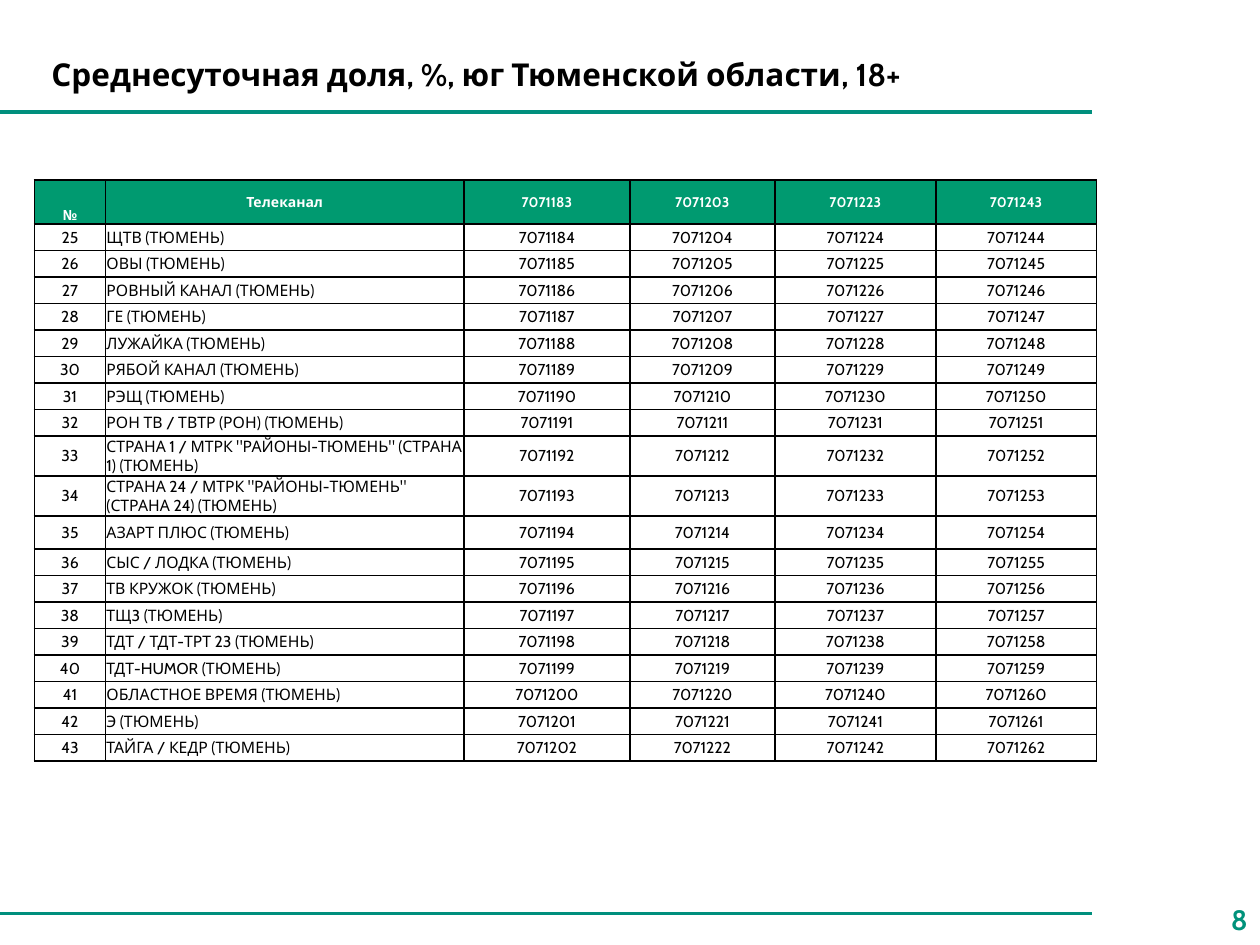
from dataclasses import dataclass

from lxml import etree
from pptx import Presentation
from pptx.dml.color import RGBColor
from pptx.enum import shapes, text
from pptx.oxml.ns import qn
from pptx.util import Emu, Pt

PX = 914400 / 252  # 252 px to the inch
LEFT, CENTER, RIGHT = text.PP_ALIGN.LEFT, text.PP_ALIGN.CENTER, text.PP_ALIGN.RIGHT
MIDDLE, BOTTOM = text.MSO_ANCHOR.MIDDLE, text.MSO_ANCHOR.BOTTOM


@dataclass(frozen=True)
class Theme:
    font: str = "Cabin"
    ink: str = "000000"
    paper: str = "FFFFFF"
    rule: str = "008F7D"
    page: str = "00927B"
    header: str = "009A70"
    title_size: int = 18
    page_size: int = 16
    header_size: int = 8
    body_size: int = 9
    rule_width: int = 2
    border_width: int = 1


T = Theme()

FIRST_NUMBER, FIRST_CODE, CODE_STEP, CODE_COLUMNS = 25, 7071183, 20, 4
CITY = "(ТЮМЕНЬ)"
CHANNELS = [
    "ЩТВ", "ОВЫ", "РОВНЫЙ КАНАЛ", "ГЕ", "ЛУЖАЙКА", "РЯБОЙ КАНАЛ", "РЭЩ",
    "РОН ТВ / ТВТР (РОН)",
    'СТРАНА 1 / МТРК "РАЙОНЫ-ТЮМЕНЬ" (СТРАНА 1)',
    'СТРАНА 24 / МТРК "РАЙОНЫ-ТЮМЕНЬ" (СТРАНА 24)',
    "АЗАРТ ПЛЮС", "СЫС / ЛОДКА", "ТВ КРУЖОК", "ТЩ3", "ТДТ / ТДТ-ТРТ 23",
    "ТДТ-HUMOR", "ОБЛАСТНОЕ ВРЕМЯ", "Э", "ТАЙГА / КЕДР",
]
COLUMN_WIDTHS = [142, 717, 332, 290, 322, 321]
HEADER_HEIGHT, ROW_HEIGHT = 88, 53
TALL_ROWS = {9: 80, 10: 80, 11: 66}


def px(n):
    return Emu(round(n * PX))


def write(tf, content, size, color=T.ink, bold=False, align=LEFT):
    p = tf.paragraphs[0]
    p.alignment = align
    r = p.add_run()
    r.text = content
    r.font.name = T.font
    r.font.size = Pt(size)
    r.font.bold = bold
    r.font.color.rgb = RGBColor.from_string(color)


def add_text(s, box, content, **style):
    tf = s.shapes.add_textbox(*map(px, box)).text_frame
    tf.word_wrap = True
    tf.vertical_anchor = MIDDLE
    write(tf, content, **style)


def add_rule(s, left, top, width):
    sp = s.shapes.add_connector(shapes.MSO_CONNECTOR.STRAIGHT,
                                px(left), px(top), px(left + width), px(top))
    sp.line.color.rgb = RGBColor.from_string(T.rule)
    sp.line.width = Pt(T.rule_width)
    etree.SubElement(sp._element.spPr, qn("a:effectLst"))


def set_borders(cell):
    props = cell._tc.get_or_add_tcPr()
    for i, side in enumerate(("a:lnL", "a:lnR", "a:lnT", "a:lnB")):
        line = etree.Element(qn(side), w=str(Pt(T.border_width)))
        fill = etree.SubElement(line, qn("a:solidFill"))
        etree.SubElement(fill, qn("a:srgbClr"), val=T.ink)
        props.insert(i, line)


def fill_cell(cell, content, fill=None, anchor=MIDDLE, **style):
    cell.margin_left = cell.margin_right = cell.margin_top = px(2)
    cell.margin_bottom = 0
    cell.vertical_anchor = anchor
    if fill:
        cell.fill.solid()
        cell.fill.fore_color.rgb = RGBColor.from_string(fill)
    else:
        cell.fill.background()
    set_borders(cell)
    write(cell.text_frame, content, **style)


def table_rows():
    """Codes run down each column, header included."""
    for i, name in enumerate(["Телеканал"] + [f"{c} {CITY}" for c in CHANNELS]):
        number = str(FIRST_NUMBER + i - 1) if i else "№"
        codes = [str(FIRST_CODE + i + CODE_STEP * c) for c in range(CODE_COLUMNS)]
        yield [number, name] + codes


def add_share_table(s, left, top):
    rows = list(table_rows())
    heights = [HEADER_HEIGHT] + [TALL_ROWS.get(i, ROW_HEIGHT)
                                 for i in range(1, len(rows))]
    table = s.shapes.add_table(len(rows), len(COLUMN_WIDTHS), px(left), px(top),
                               px(sum(COLUMN_WIDTHS)), px(sum(heights))).table
    for column, width in zip(table.columns, COLUMN_WIDTHS):
        column.width = px(width)
    for i, (row, height) in enumerate(zip(rows, heights)):
        table.rows[i].height = px(height)
        for j, content in enumerate(row):
            if i == 0:
                fill_cell(table.cell(i, j), content, fill=T.header,
                          anchor=MIDDLE if j else BOTTOM, size=T.header_size,
                          color=T.paper, bold=True, align=CENTER)
            else:
                fill_cell(table.cell(i, j), content, size=T.body_size,
                          align=LEFT if j == 1 else CENTER)


def add_heading(s, left, top, width):
    add_rule(s, left, top + 126, width)
    add_text(s, (left + 78, top, 2147, 101),
             "Среднесуточная доля, %, юг Тюменской области, 18+",
             size=T.title_size, bold=True)


def add_footer(s, left, top, width):
    add_rule(s, left, top + 38, width)
    add_text(s, (left + 2389, top, 131, 101), "8",
             size=T.page_size, color=T.page, bold=True, align=RIGHT)


def main():
    prs = Presentation()
    prs.slide_width, prs.slide_height = px(2520), px(1890)
    s = prs.slides.add_slide(prs.slide_layouts[6])
    # Heading and footer, each with its rule
    add_heading(s, 0, 98, 2185)
    add_footer(s, 0, 1789, 2185)
    # Channel table
    add_share_table(s, 69, 360)
    prs.save("out.pptx")


if __name__ == "__main__":
    main()
